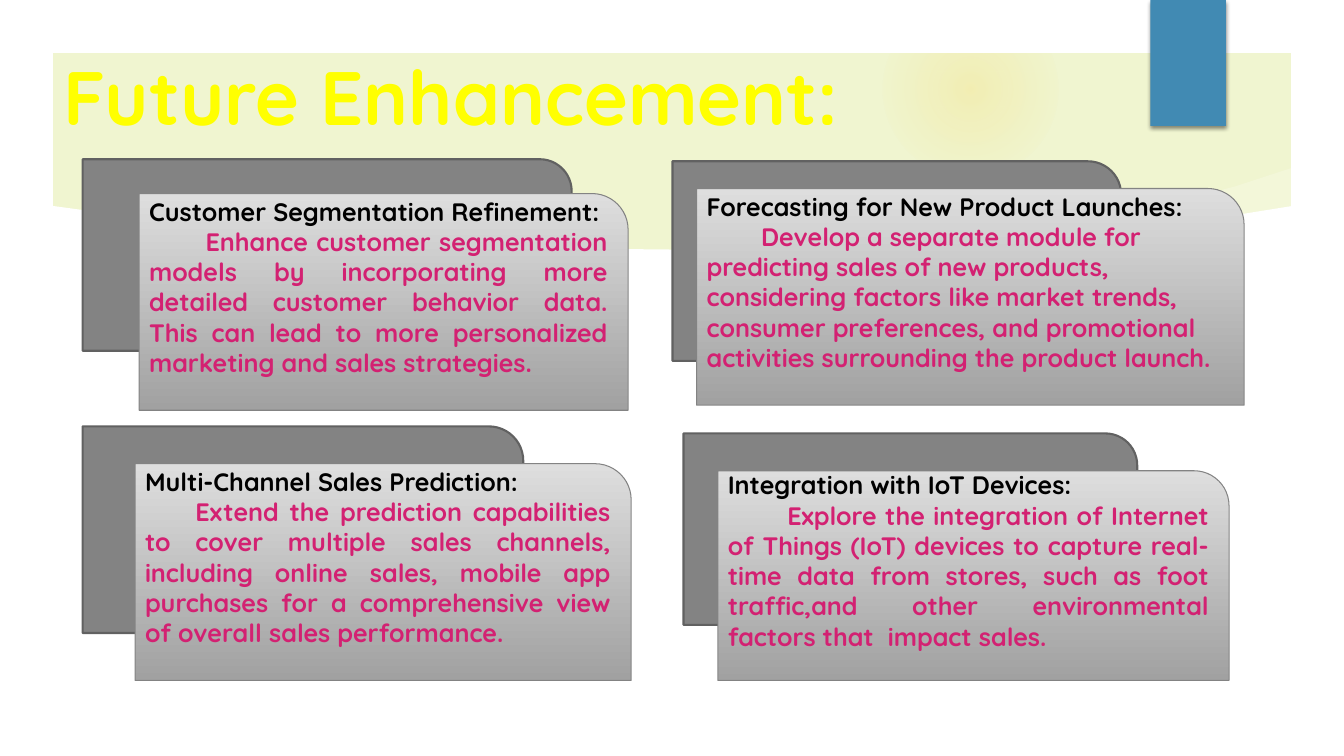
from dataclasses import dataclass

from pptx import Presentation
from pptx.dml.color import RGBColor
from pptx.enum.shapes import MSO_SHAPE
from pptx.enum.text import MSO_ANCHOR, PP_ALIGN
from pptx.oxml import parse_xml
from pptx.oxml.ns import nsdecls
from pptx.util import Emu, Pt

PX = 9144
FONT = "Quicksand"
RECT, OVAL, FRAME = MSO_SHAPE.RECTANGLE, MSO_SHAPE.OVAL, MSO_SHAPE.FRAME
CARD = MSO_SHAPE.ROUND_1_RECTANGLE
LEFT, JUSTIFY = PP_ALIGN.LEFT, PP_ALIGN.JUSTIFY
MIDDLE, BOTTOM = MSO_ANCHOR.MIDDLE, MSO_ANCHOR.BOTTOM
WHITE, GOLD, PINK = "FFFFFF", "FEC306", "D32172"

Box = tuple[int, int, int, int]
Points = list[tuple[int, int]]


@dataclass
class Card:
    back: Box
    front: Box
    heading: str
    body: str
    indent: int
    align: PP_ALIGN = JUSTIFY


@dataclass
class Glow:
    box: Box
    stops: list[tuple[int, int]]


CARDS = [
    Card((82, 158, 485, 190), (138, 192, 485, 215),
         "Customer Segmentation Refinement:",
         "Enhance customer segmentation models by incorporating more detailed "
         "customer behavior data. This can lead to more personalized marketing "
         "and sales strategies.", 56),
    Card((667, 160, 445, 198), (691, 187, 543, 215),
         "Forecasting for New Product Launches:",
         "Develop a separate module for predicting sales of new products, "
         "considering factors like market trends, consumer preferences, and "
         "promotional activities surrounding the product launch.", 54, LEFT),
    Card((82, 423, 437, 205), (134, 460, 492, 215),
         "Multi-Channel Sales Prediction:",
         "Extend the prediction capabilities to cover multiple sales channels, "
         "including online sales, mobile app purchases for a comprehensive view "
         "of overall sales performance.", 50),
    Card((678, 430, 450, 190), (712, 467, 507, 208),
         "Integration with IoT Devices:",
         "Explore the integration of Internet of Things (IoT) devices to capture "
         "real-time data from stores, such as foot traffic,and other "
         "environmental factors that  impact sales.", 59),
]
GLOWS = [
    Glow((941, 183, 308, 308), [(0, 7), (36, 6), (69, 0)]),
    Glow((875, 1, 175, 175), [(0, 14), (36, 7), (73, 0)]),
]
SWOOSH = [(930, 243), (989, 235), (1053, 225), (1109, 214), (1167, 200),
          (1225, 185), (1283, 166), (1289, 214), (1150, 234), (1030, 246),
          (934, 250)]
PANEL = [(50, 204), (94, 210), (159, 218), (249, 227), (360, 236), (488, 243),
         (607, 247), (708, 248), (813, 246), (921, 242), (1032, 235),
         (1144, 224), (1228, 213), (1284, 204), (1284, 700), (50, 700)]


def px(n: int) -> Emu:
    return Emu(n * PX)


def rgb(color: str) -> RGBColor:
    return RGBColor.from_string(color)


def set_line(sp, color: str = "", width: float = 0) -> None:
    if color:
        sp.line.color.rgb = rgb(color)
        sp.line.width = Pt(width)
    else:
        sp.line.fill.background()


def add_box(s, kind: MSO_SHAPE, box: Box, color: str):
    sp = s.shapes.add_shape(kind, *map(px, box))
    sp.shadow.inherit = False
    sp.fill.solid()
    sp.fill.fore_color.rgb = rgb(color)
    set_line(sp)
    return sp


def add_outline(s, points: Points, color: str):
    fb = s.shapes.build_freeform(*points[0], scale=PX)
    fb.add_line_segments(points[1:], close=True)
    sp = fb.convert_to_shape()
    sp.shadow.inherit = False
    sp.fill.solid()
    sp.fill.fore_color.rgb = rgb(color)
    set_line(sp)
    return sp


def add_glow(s, glow: Glow) -> None:
    sp = add_box(s, OVAL, glow.box, GOLD)
    stops = "".join(
        f'<a:gs pos="{pos * 1000}"><a:srgbClr val="{GOLD}">'
        f'<a:alpha val="{alpha * 1000}"/></a:srgbClr></a:gs>'
        for pos, alpha in glow.stops)
    grad = parse_xml(
        f'<a:gradFill {nsdecls("a")}><a:gsLst>{stops}</a:gsLst>'
        '<a:path path="circle"><a:fillToRect l="50000" t="50000" r="50000" '
        'b="50000"/></a:path></a:gradFill>')
    solid = sp._element.spPr.find("{*}solidFill")
    sp._element.spPr.replace(solid, grad)


def add_run(p, text: str, size: int, color: str) -> None:
    r = p.add_run()
    r.text = text
    style = {"name": FONT, "size": Pt(size), "bold": True}
    for key, value in style.items():
        setattr(r.font, key, value)
    r.font.color.rgb = rgb(color)


def add_card(s, card: Card) -> None:
    back = add_box(s, CARD, card.back, "838383")
    set_line(back, "616161", 1.5)
    front = add_box(s, CARD, card.front, "DEDEDE")
    set_line(front, "838383", 0.75)
    front.fill.gradient()
    front.fill.gradient_angle = 270
    for stop, pos, color in zip(front.fill.gradient_stops, (0, 1),
                                ("DEDEDE", "A1A1A1")):
        stop.position = pos
        stop.color.rgb = rgb(color)
    tf = front.text_frame
    frame = {"word_wrap": True, "vertical_anchor": MIDDLE,
             "margin_bottom": px(35)}
    for key, value in frame.items():
        setattr(tf, key, value)
    p = tf.paragraphs[0]
    p.alignment = LEFT
    add_run(p, card.heading, 18, "000000")
    p = tf.add_paragraph()
    p.alignment = card.align
    p._p.get_or_add_pPr().set("indent", str(px(card.indent)))
    add_run(p, card.body, 18, PINK)


def add_tab(s) -> None:
    sp = add_box(s, RECT, (1141, 0, 75, 125), "418AB3")
    effects = sp._element.spPr.find("{*}effectLst")
    effects.append(parse_xml(
        f'<a:outerShdw {nsdecls("a")} blurRad="{Pt(3)}" dist="{Pt(2)}" '
        'dir="5400000" rotWithShape="0"><a:srgbClr val="000000">'
        '<a:alpha val="45000"/></a:srgbClr></a:outerShdw>'))


def add_title(s) -> None:
    tf = s.shapes.add_textbox(*map(px, (53, 52, 858, 92))).text_frame
    tf.word_wrap = True
    tf.vertical_anchor = BOTTOM
    add_run(tf.paragraphs[0], "Future Enhancement:", 54, "FFFF00")


def main() -> None:
    prs = Presentation()
    prs.slide_width, prs.slide_height = px(1333), px(750)
    s = prs.slides.add_slide(prs.slide_layouts[6])
    s.background.fill.solid()
    s.background.fill.fore_color.rgb = rgb("F0F5D0")
    for glow in GLOWS:
        add_glow(s, glow)
    swoosh = add_outline(s, SWOOSH, WHITE)
    tint = swoosh._element.spPr.find("{*}solidFill")[0]
    tint.append(parse_xml(f'<a:alpha {nsdecls("a")} val="20000"/>'))
    add_outline(s, PANEL, WHITE)
    frame = add_box(s, FRAME, (0, 0, 1333, 750), WHITE)
    frame.adjustments[0] = 0.07
    add_tab(s)
    add_title(s)
    for card in CARDS:
        add_card(s, card)
    prs.save("out.pptx")


if __name__ == "__main__":
    main()
